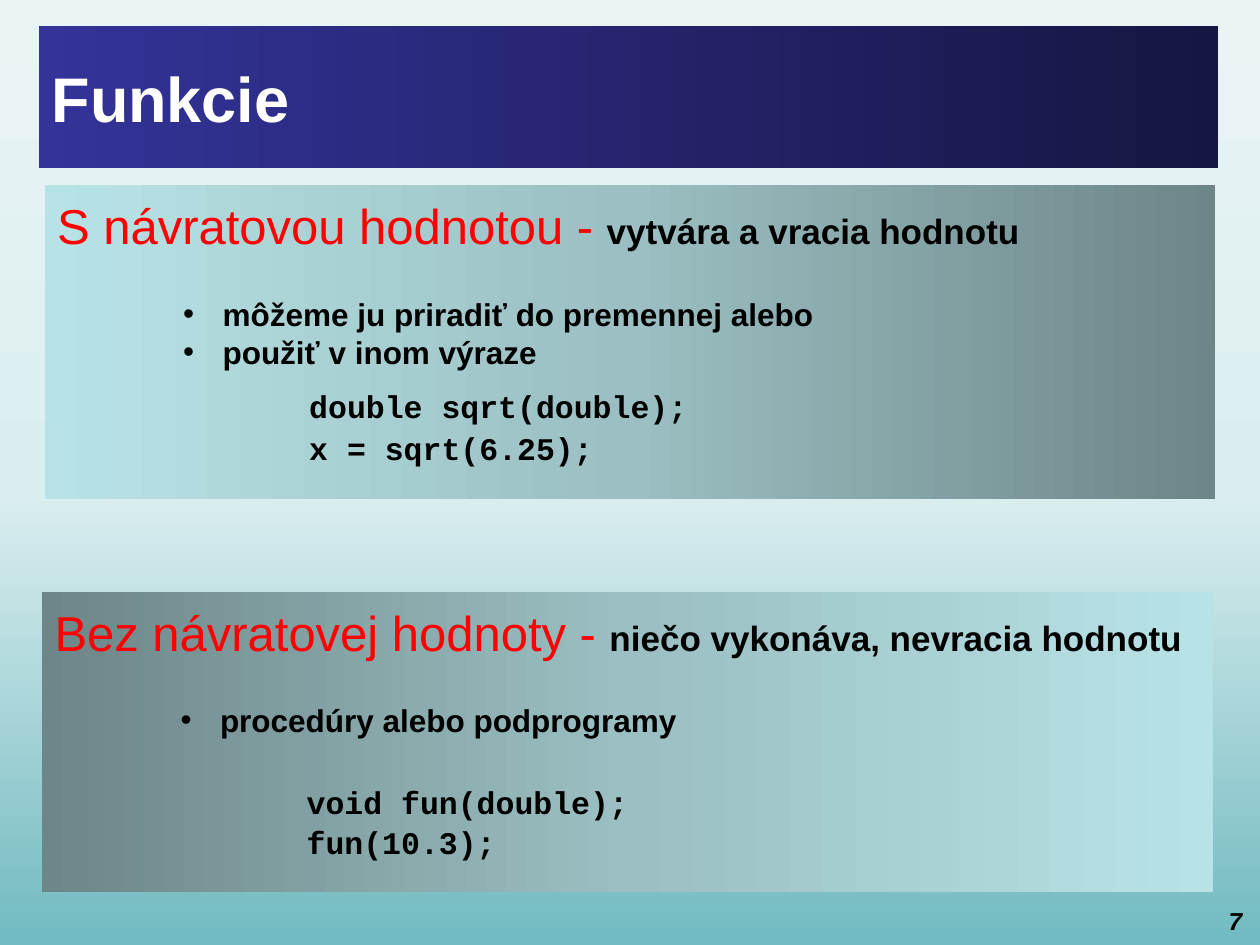
import copy

import pptx
import pptx.dml.color
import pptx.enum.text
import pptx.oxml
import pptx.oxml.ns
import pptx.util

Pt = pptx.util.Pt
ALIGN = pptx.enum.text.PP_ALIGN
ANCHOR = pptx.enum.text.MSO_ANCHOR
PANEL_STOPS = [(0, "6D8688"), (0.5, "9BBFC2"), (1, "B8E3E6")]
CODE_FONT = "Courier New"


def rgb(value):
    """Return the colour for a hex string."""
    return pptx.dml.color.RGBColor.from_string(value)


def set_gradient(fill, element, stops, angle):
    """Fill with a linear gradient whose clockwise angle is given in degrees."""
    fill.gradient()
    gs_list = next(element.iter(pptx.oxml.ns.qn("a:gsLst")))
    while len(gs_list) < len(stops):
        gs_list.append(copy.deepcopy(gs_list[0]))
    for stop, (position, color) in zip(fill.gradient_stops, stops):
        stop.color.rgb = rgb(color)
        stop.position = position
    fill.gradient_angle = (360 - angle) % 360


def place(s, left, top, width, height):
    """Position a shape, with lengths in points."""
    s.left, s.top, s.width, s.height = Pt(left), Pt(top), Pt(width), Pt(height)


def prepare_text(s, anchor):
    """Return the wrapped text frame of a shape without autofit."""
    tf = s.text_frame
    tf.word_wrap = True
    tf.auto_size = pptx.enum.text.MSO_AUTO_SIZE.NONE
    tf.vertical_anchor = anchor
    return tf


def add_run(p, text, size, color="000000", bold=True, italic=False, font="Arial"):
    """Add one formatted run to a paragraph."""
    r = p.add_run()
    r.text = text
    r.font.name = font
    r.font.size = Pt(size)
    r.font.bold = bold
    r.font.italic = italic
    r.font.color.rgb = rgb(color)


def format_paragraph(p, before=0, left=0, hanging=0, bullet=None):
    """Set the spacing, indent and bullet of a paragraph."""
    pPr = p._p.get_or_add_pPr()
    pPr.set("marL", str(Pt(left)))
    pPr.set("indent", str(-Pt(hanging)))
    bu = pptx.oxml.parse_xml(
        f'<a:{"buChar" if bullet else "buNone"} {pptx.oxml.ns.nsdecls("a")}/>')
    if bullet:
        bu.set("char", bullet)
        p.level = 1
    pPr.append(bu)
    p.space_before = Pt(before)


def add_title(s, text):
    """Format the title placeholder as a dark gradient bar."""
    place(s, 22.3, 15, 674, 81)
    set_gradient(s.fill, s._element, [(0, "333399"), (1, "161643")], 0)
    p = prepare_text(s, ANCHOR.MIDDLE).paragraphs[0]
    p.alignment = ALIGN.LEFT
    add_run(p, text, 36, "FFFFFF")


def add_panel(s, box, angle, heading, bullets, code, code_gap, line_gap):
    """Format a body placeholder as a panel with heading, bullets and code."""
    place(s, *box)
    set_gradient(s.fill, s._element, PANEL_STOPS, angle)
    tf = prepare_text(s, ANCHOR.TOP)
    tf.margin_top = Pt(6)
    p = tf.paragraphs[0]
    format_paragraph(p)
    add_run(p, heading[0], 28, "FF0000", bold=False)
    add_run(p, heading[1], 20)
    for i, text in enumerate(bullets):
        p = tf.add_paragraph()
        format_paragraph(p, 0 if i else 23, 94.5, 22.5, "•")
        add_run(p, text, 18)
    for i, text in enumerate(code):
        p = tf.add_paragraph()
        format_paragraph(p, line_gap if i else code_gap, 144)
        add_run(p, text, 18, font=CODE_FONT)


def add_page_number(slide, text):
    """Add the page number in the lower right corner."""
    s = slide.shapes.add_textbox(Pt(679), Pt(514), Pt(38), Pt(22.5))
    p = prepare_text(s, ANCHOR.TOP).paragraphs[0]
    p.alignment = ALIGN.RIGHT
    add_run(p, text, 14, italic=True)


def main():
    """Build the slide and save it."""
    prs = pptx.Presentation()
    prs.slide_width, prs.slide_height = Pt(720), Pt(540)
    slide = prs.slides.add_slide(prs.slide_layouts[3])
    set_gradient(slide.background.fill, slide._element,
                 [(0, "71BAC1"), (0.48, "DBEEEF"), (1, "E9F4F5")], 270)
    title, upper, lower = slide.placeholders
    add_title(title, "Funkcie")
    add_panel(upper, (25.5, 105.8, 669, 179.3), 180,
              ("S návratovou hodnotou - ", "vytvára a vracia hodnotu"),
              ["môžeme ju priradiť do premennej alebo",
               "použiť v\u00a0inom výraze".replace("\u00a0", " ")],
              ["double sqrt(double);", "x = sqrt(6.25);"], 9.5, 2.5)
    add_panel(lower, (24, 338, 669, 172), 0,
              ("Bez návratovej hodnoty - ", "niečo vykonáva, nevracia hodnotu"),
              ["procedúry alebo podprogramy"],
              ["void fun(double);", "fun(10.3);"], 25, 1.5)
    add_page_number(slide, "7")
    prs.save("out.pptx")


if __name__ == "__main__":
    main()
